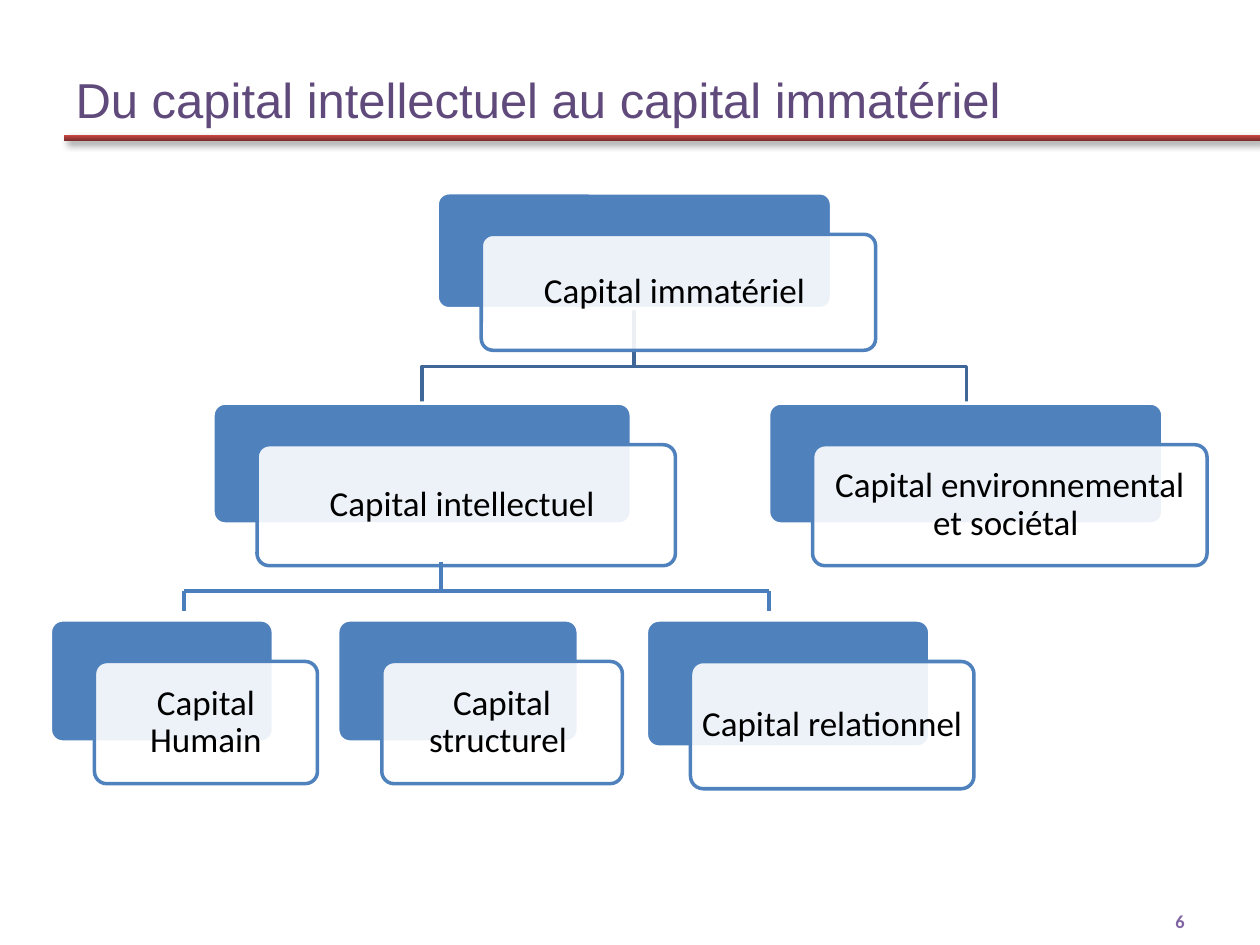
from lxml import etree
from pptx import Presentation
from pptx.dml.color import RGBColor
from pptx.enum import shapes as kinds, text as txt
from pptx.oxml import parse_xml
from pptx.oxml.ns import nsdecls, qn
from pptx.util import Inches, Pt

HUE = {"title": "604A7B", "page": "8064A2", "dark": "772B29", "light": "C94844",
       "blue": "4F81BD", "link": "3F6797", "line": "4B7EBC",
       "white": "FFFFFF", "ink": "000000"}
SHIFT = (0.35, 0.33)  # offset of each front card from its back card
CARDS = [  # label, left, top, width, height
    ("Capital immatériel ", 3.47, 1.53, 3.13, 0.92),
    ("Capital intellectuel ", 1.69, 3.2, 3.32, 0.96),
    ("Capital Humain", 0.4, 4.92, 1.77, 0.97),
    ("Capital environnemental et sociétal ", 6.1, 3.2, 3.13, 0.96),
    ("Capital relationnel ", 5.13, 4.92, 2.25, 1.01),
    ("Capital structurel ", 2.68, 4.92, 1.91, 0.97),
]


def rgb(name):
    return RGBColor.from_string(HUE[name])


def write(frame, words, size, face, hue, align, bold=False):
    frame.text = words
    para = frame.paragraphs[0]
    para.alignment = align
    font = para.runs[0].font
    font.size, font.name, font.bold = Pt(size), face, bold
    font.color.rgb = rgb(hue)
    return para


def header(slide, left, top, width, height):
    """Title resting on a red rule that runs to the slide's right edge."""
    rule = slide.shapes.add_shape(
        kinds.MSO_SHAPE.RECTANGLE, Inches(left + 0.01), Inches(top + height),
        Inches(9.99 - left), Inches(0.05))
    rule.line.fill.background()
    rule.fill.gradient()
    rule.fill.gradient_angle = 90
    for stop, name in zip(rule.fill.gradient_stops, ("dark", "light")):
        stop.color.rgb = rgb(name)
    rule._element.spPr.append(parse_xml(
        f'<a:effectLst {nsdecls("a")}><a:outerShdw blurRad="50800" dist="38100" '
        'dir="2700000" rotWithShape="0"><a:srgbClr val="000000">'
        '<a:alpha val="40000"/></a:srgbClr></a:outerShdw></a:effectLst>'))
    title = slide.shapes.title
    title.left, title.top = Inches(left), Inches(top)
    title.width, title.height = Inches(width), Inches(height)
    frame = title.text_frame
    frame.vertical_anchor = txt.MSO_ANCHOR.BOTTOM
    write(frame, "Du capital intellectuel au capital immatériel",
          28, "Arial", "title", txt.PP_ALIGN.LEFT)


def plate(slide, left, top, width, height, fill, line):
    shape = slide.shapes.add_shape(
        kinds.MSO_SHAPE.ROUNDED_RECTANGLE,
        *map(Inches, (left, top, width, height)))
    shape.adjustments[0] = 0.1
    shape.shadow.inherit = False
    shape.fill.solid()
    shape.fill.fore_color.rgb = rgb(fill)
    shape.line.color.rgb = rgb(line)
    shape.line.width = Pt(2)
    return shape


def card(slide, label, left, top, width, height):
    """Blue back plate with a translucent labelled plate in front."""
    plate(slide, left, top, width, height, "blue", "white")
    front = plate(slide, left + SHIFT[0], top + SHIFT[1], width, height,
                  "white", "blue")
    color = front._element.spPr.find(qn("a:solidFill"))[0]
    etree.SubElement(color, qn("a:alpha")).set("val", "90000")
    frame = front.text_frame
    frame.word_wrap = True
    frame.vertical_anchor = txt.MSO_ANCHOR.MIDDLE
    frame.margin_left = frame.margin_right = Inches(0.05)
    para = write(frame, label, 20, "Calibri", "ink", txt.PP_ALIGN.CENTER)
    para.line_spacing = 0.9
    para.space_after = Pt(7)


def elbow(slide, start, bend, end):
    """Stepped link from a parent point, turning at height bend."""
    pen = slide.shapes.build_freeform(
        Inches(start[0]), Inches(start[1]), scale=1.0)
    turns = [(start[0], bend), (end[0], bend), end]
    pen.add_line_segments([(Inches(x), Inches(y)) for x, y in turns], close=False)
    link = pen.convert_to_shape()
    link.shadow.inherit = False
    link.fill.background()
    link.line.color.rgb = rgb("link")
    link.line.width = Pt(2)


def bracket(slide, left, top, width, height):
    """Bar with a stem from above and a drop at each end."""
    bar, right, stem = top + 0.23, left + width, left + 2.04
    for ends in ((left, bar, right, bar), (left, bar, left, top + height),
                 (stem, top, stem, bar), (right, bar, right, top + height)):
        line = slide.shapes.add_connector(
            kinds.MSO_CONNECTOR.STRAIGHT, *map(Inches, ends))
        line.line.color.rgb = rgb("line")
        line.line.width = Pt(2.25)
        etree.SubElement(line._element.spPr, qn("a:effectLst"))


def footer(slide, left, top, width, height):
    box = slide.shapes.add_textbox(*map(Inches, (left, top, width, height)))
    frame = box.text_frame
    frame.word_wrap = True
    frame.vertical_anchor = txt.MSO_ANCHOR.BOTTOM
    write(frame, "6", 10.5, "Calibri", "page", txt.PP_ALIGN.RIGHT, True)


def main():
    deck = Presentation()
    deck.slide_width, deck.slide_height = Inches(10), Inches(7.5)
    slide = deck.slides.add_slide(deck.slide_layouts[5])
    header(slide, 0.5, 0.08, 9, 0.99)
    for x in (7.67, 3.35):
        elbow(slide, (5.03, 2.45), 2.91, (x, 3.2))
    for item in CARDS:
        card(slide, *item)
    bracket(slide, 1.46, 4.46, 4.64, 0.39)
    footer(slide, 7.17, 7.05, 2.33, 0.4)
    deck.save("out.pptx")


if __name__ == "__main__":
    main()
